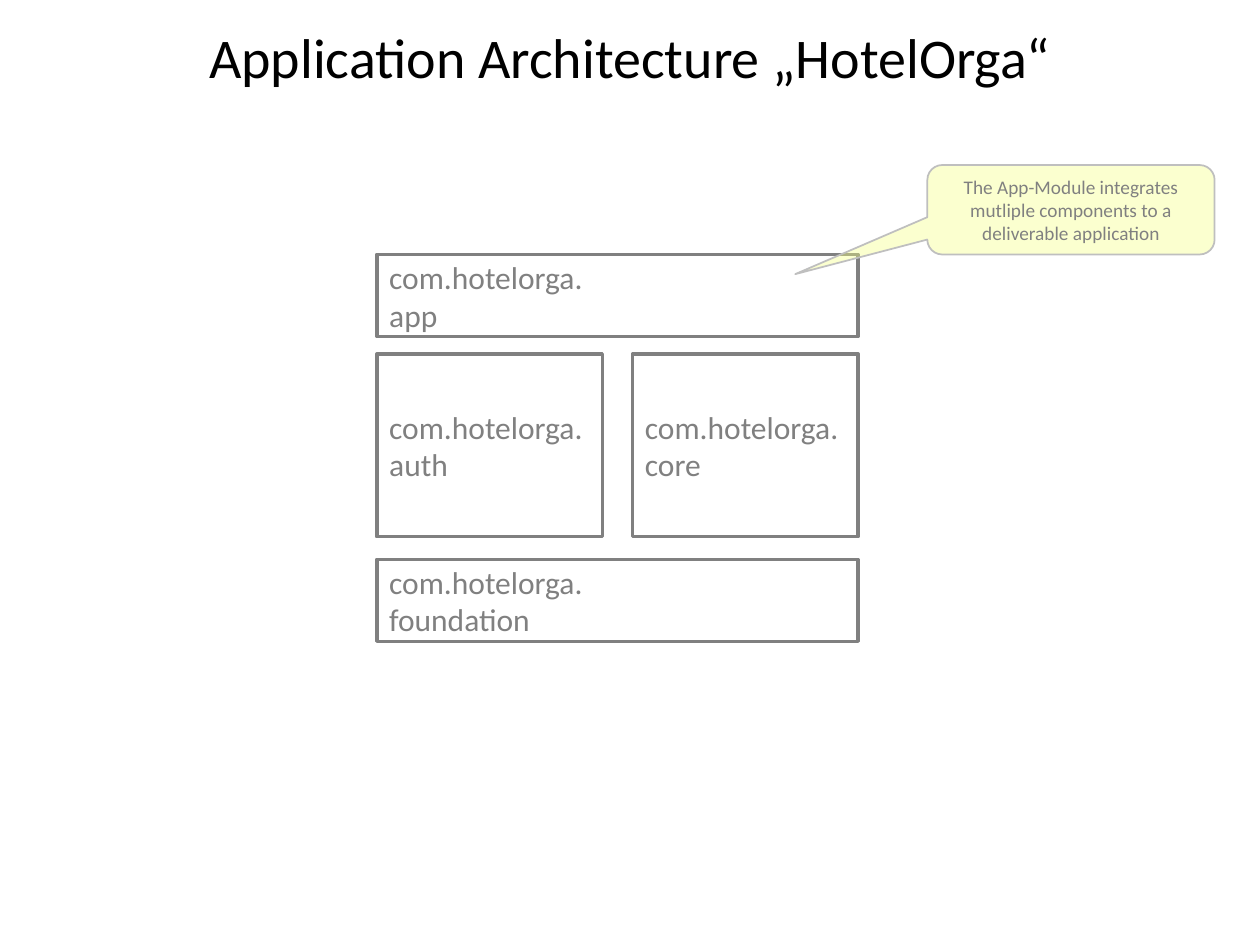
from dataclasses import dataclass

from lxml import etree
from pptx import Presentation
from pptx import util as u
from pptx.dml.color import RGBColor
from pptx.enum import shapes, text
from pptx.oxml.ns import qn


@dataclass(frozen=True)
class Theme:
    font: str = "Calibri"
    title_size: int = 32
    module_size: int = 18
    note_size: int = 11
    title_color: str = "000000"
    ink: str = "808080"
    paper: str = "FFFFFF"
    note_fill: str = "F6FF85"
    note_line: str = "BFBFBF"
    note_opacity: int = 39


THEME = Theme()

# Module grid, in inches: two equal columns and three rows (top, height)
GRID_LEFT, COLUMN, GAP = 2.99, 1.79, 0.24
ROWS = [(2.02, 0.65), (2.81, 1.45), (4.44, 0.65)]

# Module name, row, first column, columns spanned
MODULES = [
    ("app", 0, 0, 2),
    ("foundation", 2, 0, 2),
    ("core", 1, 1, 1),
    ("auth", 1, 0, 1),
]


def inches(*lengths):
    return [u.Inches(length) for length in lengths]


def write(shape, lines, size, color, align):
    frame = shape.text_frame
    frame.word_wrap = True
    frame.text = "\n".join(lines)
    for para in frame.paragraphs:
        para.alignment = align
        para.font.name = THEME.font
        para.font.size = u.Pt(size)
        para.font.color.rgb = RGBColor.from_string(color)


def add_box(page, kind, area, fill, line, line_width):
    box = page.shapes.add_shape(kind, *inches(*area))
    box.shadow.inherit = False
    box.fill.solid()
    box.fill.fore_color.rgb = RGBColor.from_string(fill)
    box.line.color.rgb = RGBColor.from_string(line)
    box.line.width = u.Pt(line_width)
    box.text_frame.vertical_anchor = text.MSO_ANCHOR.MIDDLE
    return box


def add_title(page, wording):
    title = page.shapes.title
    title.left, title.top, title.width, title.height = inches(0.5, 0.13, 9, 0.46)
    write(title, [wording], THEME.title_size, THEME.title_color,
          text.PP_ALIGN.CENTER)
    title.text_frame.vertical_anchor = text.MSO_ANCHOR.TOP
    title.text_frame.auto_size = text.MSO_AUTO_SIZE.NONE


def add_module(page, name, row, column, span):
    top, height = ROWS[row]
    left = GRID_LEFT + column * (COLUMN + GAP)
    width = span * COLUMN + (span - 1) * GAP
    box = add_box(page, shapes.MSO_SHAPE.RECTANGLE, (left, top, width, height),
                  THEME.paper, THEME.ink, 2)
    write(box, ["com.hotelorga.", name], THEME.module_size, THEME.ink,
          text.PP_ALIGN.LEFT)


def add_callout(page, wording, area, pointer):
    note = add_box(page, shapes.MSO_SHAPE.ROUNDED_RECTANGULAR_CALLOUT, area,
                   THEME.note_fill, THEME.note_line, 1)
    note.adjustments[0], note.adjustments[1] = pointer
    # Translucent fill
    color = note.fill._xPr.find(qn("a:solidFill"))[0]
    etree.SubElement(color, qn("a:alpha"), val=str(THEME.note_opacity * 1000))
    write(note, [wording], THEME.note_size, THEME.ink, text.PP_ALIGN.CENTER)


def main():
    deck = Presentation()
    deck.slide_width, deck.slide_height = inches(10, 7.5)
    page = deck.slides.add_slide(deck.slide_layouts.get_by_name("Title Only"))

    add_title(page, "Application Architecture „HotelOrga“")
    for module in MODULES:
        add_module(page, *module)
    add_callout(
        page,
        "The App-Module integrates mutliple components to a deliverable application",
        area=(7.36, 1.31, 2.28, 0.71),
        pointer=(-0.96, 0.72),
    )
    deck.save("out.pptx")


if __name__ == "__main__":
    main()
